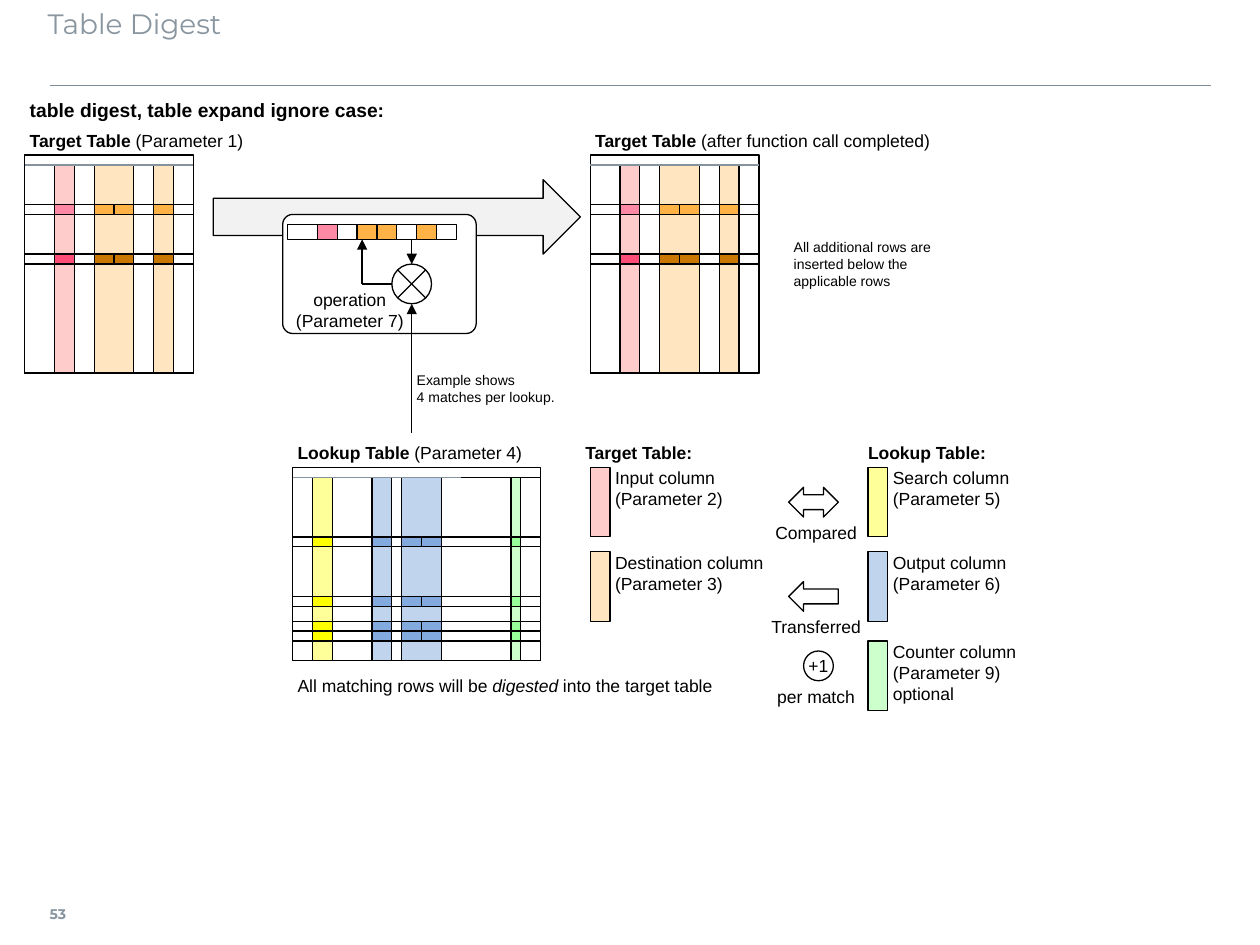
from lxml import etree
from pptx import Presentation
from pptx.dml.color import RGBColor
from pptx.enum.shapes import MSO_CONNECTOR, MSO_SHAPE
from pptx.enum.text import MSO_ANCHOR, PP_ALIGN
from pptx.oxml.ns import qn
from pptx.util import Inches, Pt

RECT, ROUNDED, OVAL = MSO_SHAPE.RECTANGLE, MSO_SHAPE.ROUNDED_RECTANGLE, MSO_SHAPE.OVAL
RIGHT_ARROW, LEFT_ARROW = MSO_SHAPE.RIGHT_ARROW, MSO_SHAPE.LEFT_ARROW
DOUBLE_ARROW = MSO_SHAPE.LEFT_RIGHT_ARROW
JUNCTION = MSO_SHAPE.FLOWCHART_SUMMING_JUNCTION
STRAIGHT = MSO_CONNECTOR.STRAIGHT
TOP_ANCHOR, MIDDLE = MSO_ANCHOR.TOP, MSO_ANCHOR.MIDDLE
LEFT_ALIGN, CENTER = PP_ALIGN.LEFT, PP_ALIGN.CENTER

COLORS = {
    "black": "000000", "white": "FFFFFF", "arrow": "F2F2F2",
    "title": "8996A0", "rule": "808D97", "header": "85939D",
    "input": "FFCCCC", "input match": "FF88A4", "input added": "FF4D77",
    "destination": "FFE6C1", "destination match": "FFB346", "destination added": "CA7700",
    "search": "FFFF99", "search match": "FFFF00",
    "output": "C1D4EE", "output match": "83AADE",
    "counter": "CCFFCC", "counter match": "99FF99",
}
RGB = {name: RGBColor.from_string(value) for name, value in COLORS.items()}

# Grid: column 0, row 0 is the top left corner of the first target table
CELL = 2 / 25.4
LEFT, TOP = 2.5 * CELL, 1.23

presentation = Presentation()
presentation.slide_width, presentation.slide_height = Inches(10), Inches(7.5)
slide = presentation.slides.add_slide(presentation.slide_layouts[6])


def add_box(column, row, columns, rows, fill=None, preset=RECT):
    """Draw an outlined shape, or a text box when preset is None."""
    place = (Inches(LEFT + column * CELL), Inches(TOP + row * CELL),
             Inches(columns * CELL), Inches(rows * CELL))
    if preset is None:
        return slide.shapes.add_textbox(*place)
    shape = slide.shapes.add_shape(preset, *place)
    shape.shadow.inherit = False
    if fill:
        shape.fill.solid()
        shape.fill.fore_color.rgb = RGB[fill]
    else:
        shape.fill.background()
    shape.line.color.rgb = RGB["black"]
    shape.line.width = Pt(0.75)
    return shape


def write_text(shape, lines, size=10, bold=False, anchor=MIDDLE, align=LEFT_ALIGN,
               font="Arial", color="black"):
    """Each line is a string, or a list of (text, style) runs."""
    frame = shape.text_frame
    frame.word_wrap = False
    frame.vertical_anchor = anchor
    frame.margin_left = frame.margin_right = Inches(CELL / 2)
    frame.margin_top = frame.margin_bottom = 0
    for index, line in enumerate(lines):
        paragraph = frame.add_paragraph() if index else frame.paragraphs[0]
        paragraph.alignment = align
        paragraph.font.size, paragraph.font.name = Pt(size), font
        paragraph.font.color.rgb = RGB[color]
        paragraph.font.bold = bold
        for text, style in [(line, "")] if isinstance(line, str) else line:
            run = paragraph.add_run()
            run.text = text
            if style == "bold":
                run.font.bold = True
            elif style == "italic":
                run.font.italic = True


# Title and slide number
write_text(add_box(1.8, -15, 117, 8, preset=None), ["Table Digest"], 16,
           anchor=TOP_ANCHOR, font="Montserrat", color="title")
write_text(add_box(2, 74, 4.5, 5, preset=None), ["53"], 8, True,
           font="Montserrat", color="title")

# Headings: column, row, width, runs
headings = [
    (0, -2.5, 25, [("Target Table ", "bold"), ("(Parameter 1)", "")]),
    (57, -2.5, 38, [("Target Table ", "bold"), ("(after function call completed)", "")]),
    (27, 29, 25, [("Lookup Table ", "bold"), ("(Parameter 4)", "")]),
    (56, 29, 15, [("Target Table:", "bold")]),
    (84.5, 29, 15, [("Lookup Table:", "bold")]),
]
write_text(add_box(0, -5.5, 40, 2, preset=None),
           ["table digest, table expand ignore case:"], 11, True)
for column, row, width, runs in headings:
    write_text(add_box(column, row, width, 2, preset=None), [runs])

# Tables: column bands (offset, width, kind) and highlighted rows (offset, state)
target_bands = [(3, 2, "input"), (7, 4, "destination"), (13, 2, "destination")]
lookup_bands = [(2, 2, "search"), (8, 2, "output"), (11, 4, "output"), (22, 1, "counter")]
target_rows = [(4, "match"), (9, "added")]
lookup_rows = [(offset, "match") for offset in (6, 12, 14.5, 15.5)]
tables = [
    (0, 0, 17, 21, target_bands, target_rows),
    (57, 0, 17, 21, target_bands, target_rows),
    (27, 31.5, 25, 18.5, lookup_bands, lookup_rows),
]
for left, top, columns, rows, bands, highlights in tables:
    body = top + 1
    for offset, width, kind in bands:
        add_box(left + offset, body, width, rows, kind)
    add_box(left, top, columns, rows + 1)
    add_box(left, body, columns, rows)
    for row, state in highlights:
        add_box(left, body + row, columns, 1)
        for offset, width, kind in bands:
            step = min(width, 2)
            for part in range(0, width, step):
                add_box(left + offset + part, body + row, step, 1, f"{kind} {state}")

# Operation on one row
add_box(19, 2.5, 37, 7.5, "arrow", RIGHT_ARROW)
add_box(26, 6, 19.5, 12, "white", ROUNDED).adjustments[0] = 0.084
add_box(26.5, 7, 17, 1.5)
for offset, kind in [(3, "input"), (7, "destination"), (9, "destination"), (13, "destination")]:
    add_box(26.5 + offset, 7, 2, 1.5, f"{kind} match")
add_box(37, 11, 4, 4, preset=JUNCTION)

# Legend: colour swatches with their labels
legend = [
    (57, 31.5, "input", ["Input column", "(Parameter 2)"]),
    (57, 40, "destination", ["Destination column", "(Parameter 3)"]),
    (85, 31.5, "search", ["Search column", "(Parameter 5)"]),
    (85, 40, "output", ["Output column", "(Parameter 6)"]),
    (85, 49, "counter", ["Counter column", "(Parameter 9)", "optional"]),
]
for column, row, kind, lines in legend:
    add_box(column, row, 2, 7, kind)
    write_text(add_box(column + 2, row, 17, 7, preset=None), lines, anchor=TOP_ANCHOR)

# Relations between the legend columns
add_box(77, 33.5, 5, 3, preset=DOUBLE_ARROW)
add_box(77, 43, 5, 3, preset=LEFT_ARROW)
write_text(add_box(78.5, 50, 3, 3, preset=OVAL), ["+1"], align=CENTER)

captions = [
    (73, 37, "Compared"), (73, 46.5, "Transferred"), (73, 53.5, "per match"),
    (26, 13.5, "operation"), (26, 15.6, "(Parameter 7)"),
]
for column, row, text in captions:
    write_text(add_box(column, row, 13.5, 2.5, preset=None), [text],
               anchor=TOP_ANCHOR, align=CENTER)

# Remarks
write_text(add_box(39, 21, 20, 5, preset=None), ["Example shows", "4 matches per lookup."], 8)
write_text(add_box(77, 8.5, 20, 5, preset=None),
           ["All additional rows are", "inserted below the", "applicable rows"], 8)
write_text(add_box(27, 51, 48, 5, preset=None),
           [[("All matching rows will be ", ""), ("digested", "italic"),
             (" into the target table", "")]])

# Lines: start, end, colour, width, arrowhead at the start
lines = [
    (2.5, -7, 119.6, -7, "rule", 1, False),
    (0, 1, 17, 1, "header", 0.75, False),
    (57, 1, 74, 1, "header", 0.75, False),
    (27, 32.5, 44, 32.5, "header", 0.75, False),
    (39, 15, 39, 28, "black", 0.75, True),
    (39, 11, 39, 8.5, "black", 0.75, True),
    (34, 13, 37, 13, "black", 0.75, False),
    (34, 8.5, 34, 13, "black", 0.75, True),
]
for column, row, end_column, end_row, color, width, has_head in lines:
    connector = slide.shapes.add_connector(
        STRAIGHT, Inches(LEFT + column * CELL), Inches(TOP + row * CELL),
        Inches(LEFT + end_column * CELL), Inches(TOP + end_row * CELL))
    connector.line.color.rgb = RGB[color]
    connector.line.width = Pt(width)
    if has_head:
        etree.SubElement(connector.line._get_or_add_ln(), qn("a:headEnd"), type="triangle")
    etree.SubElement(connector._element.spPr, qn("a:effectLst"))

presentation.save("out.pptx")
